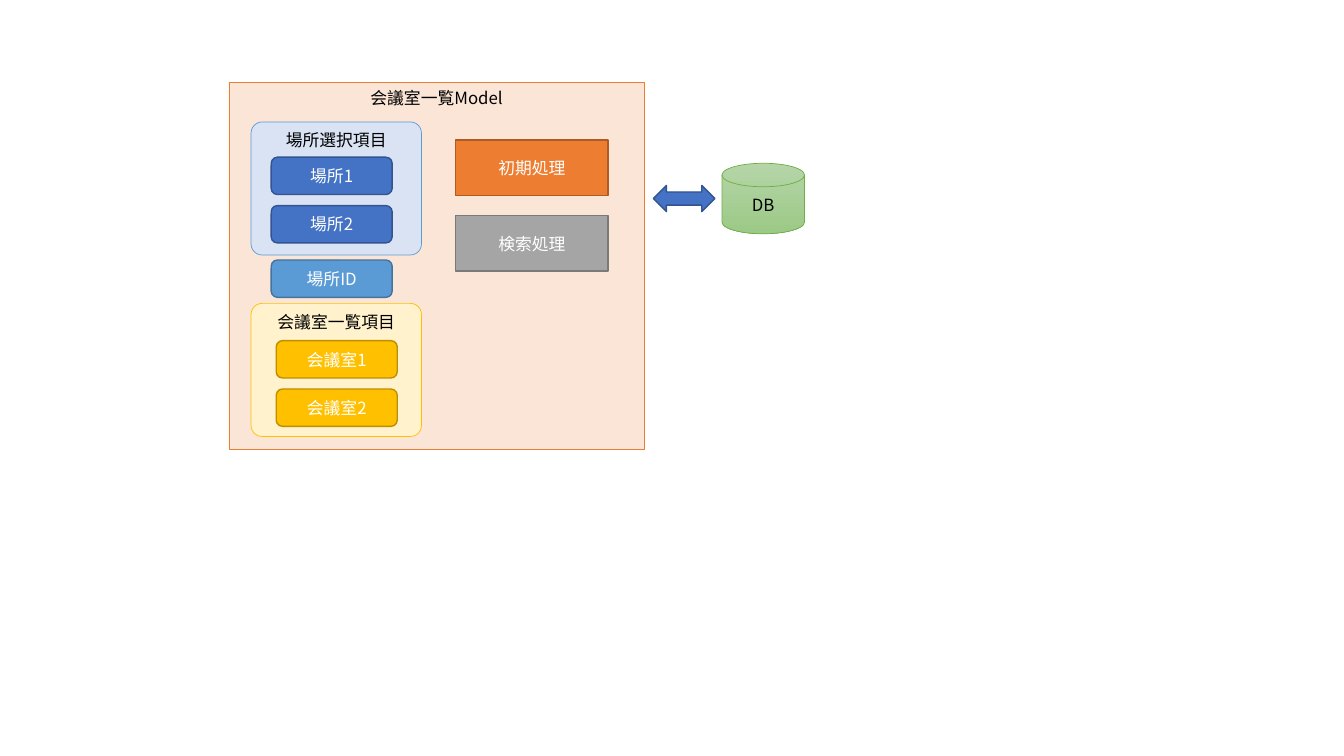
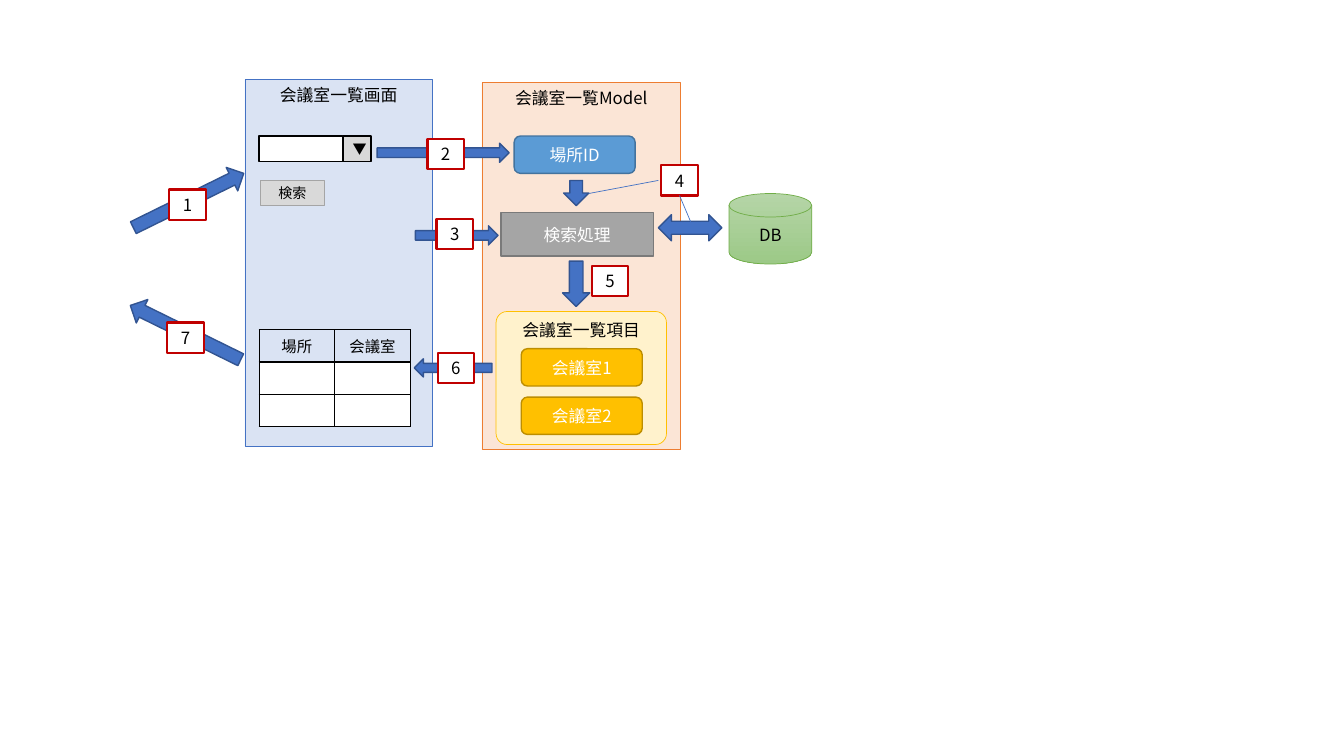
from lxml import etree
from pptx import Presentation
from pptx.dml.color import RGBColor
from pptx.enum.shapes import MSO_CONNECTOR, MSO_SHAPE
from pptx.enum.text import MSO_ANCHOR, PP_ALIGN
from pptx.oxml.ns import qn
from pptx.util import Inches, Pt

RECTANGLE = MSO_SHAPE.RECTANGLE
ROUNDED = MSO_SHAPE.ROUNDED_RECTANGLE
DISK = MSO_SHAPE.FLOWCHART_MAGNETIC_DISK
RIGHT = MSO_SHAPE.RIGHT_ARROW
LEFT = MSO_SHAPE.LEFT_ARROW
DOWN = MSO_SHAPE.DOWN_ARROW
BOTH_WAYS = MSO_SHAPE.LEFT_RIGHT_ARROW
STRAIGHT = MSO_CONNECTOR.STRAIGHT
TOP = MSO_ANCHOR.TOP
MIDDLE = MSO_ANCHOR.MIDDLE
CENTER = PP_ALIGN.CENTER

FONT = "Noto Sans CJK JP"
COLORS = {
    "black": "000000",
    "white": "FFFFFF",
    "blue": "4472C4",
    "blue_edge": "325491",
    "pale_blue": "DAE3F3",
    "sky": "5B9BD5",
    "sky_edge": "43739E",
    "orange": "ED7D31",
    "orange_edge": "AF5C24",
    "pale_orange": "FBE5D6",
    "yellow": "FFC000",
    "yellow_edge": "BD8E00",
    "pale_yellow": "FFF2CC",
    "gray": "A5A5A5",
    "gray_edge": "7A7A7A",
    "light_gray": "D9D9D9",
    "green_top": "B5D5A7",
    "green_bottom": "9CC987",
    "green_edge": "70AD47",
    "red": "C00000",
}
PILL_SIZE = (1.2, 0.37)
PILL_STEP = 0.48
GROUP_SIZE = (1.69, 1.32)
PANEL_HEIGHT = 3.64
PROCESS_WIDTH = 1.51


def rgb(name):
    return RGBColor.from_string(COLORS[name])


def add_text(paragraph, text, size, color):
    paragraph.alignment = CENTER
    run = paragraph.add_run()
    run.text = text
    run.font.size = Pt(size)
    run.font.name = FONT
    run.font.color.rgb = rgb(color)
    east_asian = etree.SubElement(run.font._element, qn("a:ea"))
    east_asian.set("typeface", FONT)


def add_box(slide, kind, box, fill, line, text="", weight=1, size=12,
            color="black", anchor=MIDDLE):
    shape = slide.shapes.add_shape(kind, *map(Inches, box))
    shape.shadow.inherit = False
    shape.fill.solid()
    shape.fill.fore_color.rgb = rgb(fill)
    shape.line.color.rgb = rgb(line)
    shape.line.width = Pt(weight)
    if text:
        frame = shape.text_frame
        frame.word_wrap = True
        frame.vertical_anchor = anchor
        add_text(frame.paragraphs[0], text, size, color)
    return shape


def add_panel(slide, left, top, width, fill, line, title):
    add_box(slide, RECTANGLE, (left, top, width, PANEL_HEIGHT), fill, line,
            title, weight=0.5, anchor=TOP)


def add_model_panel(slide, left, width):
    add_panel(slide, left, 0.82, width, "pale_orange", "orange", "会議室一覧Model")


def add_pill(slide, left, top, fill, text):
    add_box(slide, ROUNDED, (left, top, *PILL_SIZE), fill, fill + "_edge",
            text, color="white")


def add_group(slide, left, top, fill, line, title, pill_fill, pill_offset, items):
    group = add_box(slide, ROUNDED, (left, top, *GROUP_SIZE), fill, line,
                    title, weight=0.5, anchor=TOP)
    group.adjustments[0] = 0.083
    across, down = pill_offset
    for index, item in enumerate(items):
        add_pill(slide, left + across, top + down + index * PILL_STEP,
                 pill_fill, item)


def add_room_group(slide, left, top):
    add_group(slide, left, top, "pale_yellow", "yellow", "会議室一覧項目",
              "yellow", (0.25, 0.37), ("会議室1", "会議室2"))


def add_process(slide, left, top, height, fill, text):
    add_box(slide, RECTANGLE, (left, top, PROCESS_WIDTH, height), fill,
            fill + "_edge", text, color="white")


def add_database(slide, left, top):
    disk = add_box(slide, DISK, (left, top, 0.82, 0.7), "green_top",
                   "green_edge", "DB", weight=0.5)
    disk.fill.gradient()
    disk.fill.gradient_angle = 270
    for stop, name in zip(disk.fill.gradient_stops, ("green_top", "green_bottom")):
        stop.color.rgb = rgb(name)


def add_arrow(slide, kind, box, rotation=0):
    add_box(slide, kind, box, "blue", "blue_edge").rotation = rotation


def add_step(slide, number, left, top):
    add_box(slide, RECTANGLE, (left, top, 0.36, 0.3), "white", "red",
            str(number), weight=1.5)


def add_leader(slide, start, end):
    connector = slide.shapes.add_connector(STRAIGHT, *map(Inches, start + end))
    connector.line.color.rgb = rgb("blue")
    connector.line.width = Pt(0.5)
    etree.SubElement(connector._element.spPr, qn("a:effectLst"))


def set_borders(cell):
    properties = cell._tc.get_or_add_tcPr()
    for index, side in enumerate(("lnL", "lnR", "lnT", "lnB")):
        line = etree.Element(qn("a:" + side), w=str(Pt(1)))
        fill = etree.SubElement(line, qn("a:solidFill"))
        etree.SubElement(fill, qn("a:srgbClr"), val=COLORS["black"])
        properties.insert(index, line)


def add_room_table(slide, left, top):
    rows = (("場所", "会議室"), ("", ""), ("", ""))
    column_width, row_height = 0.75, 0.32
    frame = slide.shapes.add_table(
        len(rows), 2, Inches(left), Inches(top),
        Inches(column_width * 2), Inches(row_height * len(rows)))
    for row_index, texts in enumerate(rows):
        for column_index, text in enumerate(texts):
            cell = frame.table.cell(row_index, column_index)
            cell.vertical_anchor = MIDDLE
            cell.fill.solid()
            cell.fill.fore_color.rgb = rgb("white" if row_index else "pale_blue")
            set_borders(cell)
            paragraph = cell.text_frame.paragraphs[0]
            if text:
                add_text(paragraph, text, 11, "black")
            else:
                etree.SubElement(paragraph._p, qn("a:endParaRPr"), sz="1100")


def add_search_controls(slide):
    add_box(slide, RECTANGLE, (2.57, 1.35, 0.83, 0.25), "white", "black")
    add_box(slide, RECTANGLE, (3.4, 1.35, 0.28, 0.25), "light_gray", "black",
            "▼", size=10)
    add_box(slide, RECTANGLE, (2.58, 1.79, 0.64, 0.25), "light_gray", "gray",
            "検索", weight=0.5, size=10)


def build_model_slide(slide):
    add_model_panel(slide, 2.27, 4.12)
    add_group(slide, 2.49, 1.21, "pale_blue", "sky", "場所選択項目",
              "blue", (0.2, 0.35), ("場所1", "場所2"))
    add_room_group(slide, 2.49, 3.01)
    add_pill(slide, 2.69, 2.58, "sky", "場所ID")
    add_process(slide, 4.52, 1.39, 0.55, "orange", "初期処理")
    add_process(slide, 4.52, 2.14, 0.55, "gray", "検索処理")
    add_database(slide, 7.16, 1.62)
    add_arrow(slide, BOTH_WAYS, (6.48, 1.84, 0.61, 0.26))


def build_search_slide(slide):
    add_model_panel(slide, 4.78, 1.97)
    add_room_group(slide, 4.92, 3.09)
    add_pill(slide, 5.1, 1.35, "sky", "場所ID")
    add_process(slide, 4.97, 2.11, 0.43, "gray", "検索処理")
    add_database(slide, 7.23, 1.92)
    add_panel(slide, 2.43, 0.79, 1.86, "pale_blue", "blue", "会議室一覧画面")
    add_room_table(slide, 2.57, 3.27)
    add_search_controls(slide)

    arrows = (
        (BOTH_WAYS, (6.53, 2.13, 0.63, 0.26), 0),
        (RIGHT, (1.26, 1.86, 1.22, 0.26), 333.8),
        (RIGHT, (3.74, 1.42, 1.31, 0.19), 0),
        (RIGHT, (4.12, 2.24, 0.82, 0.19), 0),
        (DOWN, (5.59, 1.79, 0.25, 0.25), 0),
        (DOWN, (5.58, 2.59, 0.27, 0.45), 0),
        (LEFT, (4.11, 3.56, 0.77, 0.18), 0),
        (LEFT, (1.23, 3.17, 1.22, 0.26), 26.2),
    )
    for kind, box, rotation in arrows:
        add_arrow(slide, kind, box, rotation)

    step_places = ((1.68, 1.88), (4.24, 1.38), (4.33, 2.17), (6.56, 1.64),
                   (5.87, 2.64), (4.34, 3.5), (1.66, 3.2))
    for number, (left, top) in enumerate(step_places, start=1):
        add_step(slide, number, left, top)

    add_leader(slide, (6.53, 1.79), (5.84, 1.92))
    add_leader(slide, (6.74, 1.94), (6.85, 2.2))


def main():
    presentation = Presentation()
    presentation.slide_width = Inches(13.33)
    presentation.slide_height = Inches(7.5)
    blank = presentation.slide_layouts[6]
    for build in (build_model_slide, build_search_slide):
        build(presentation.slides.add_slide(blank))
    presentation.save("out.pptx")


main()
